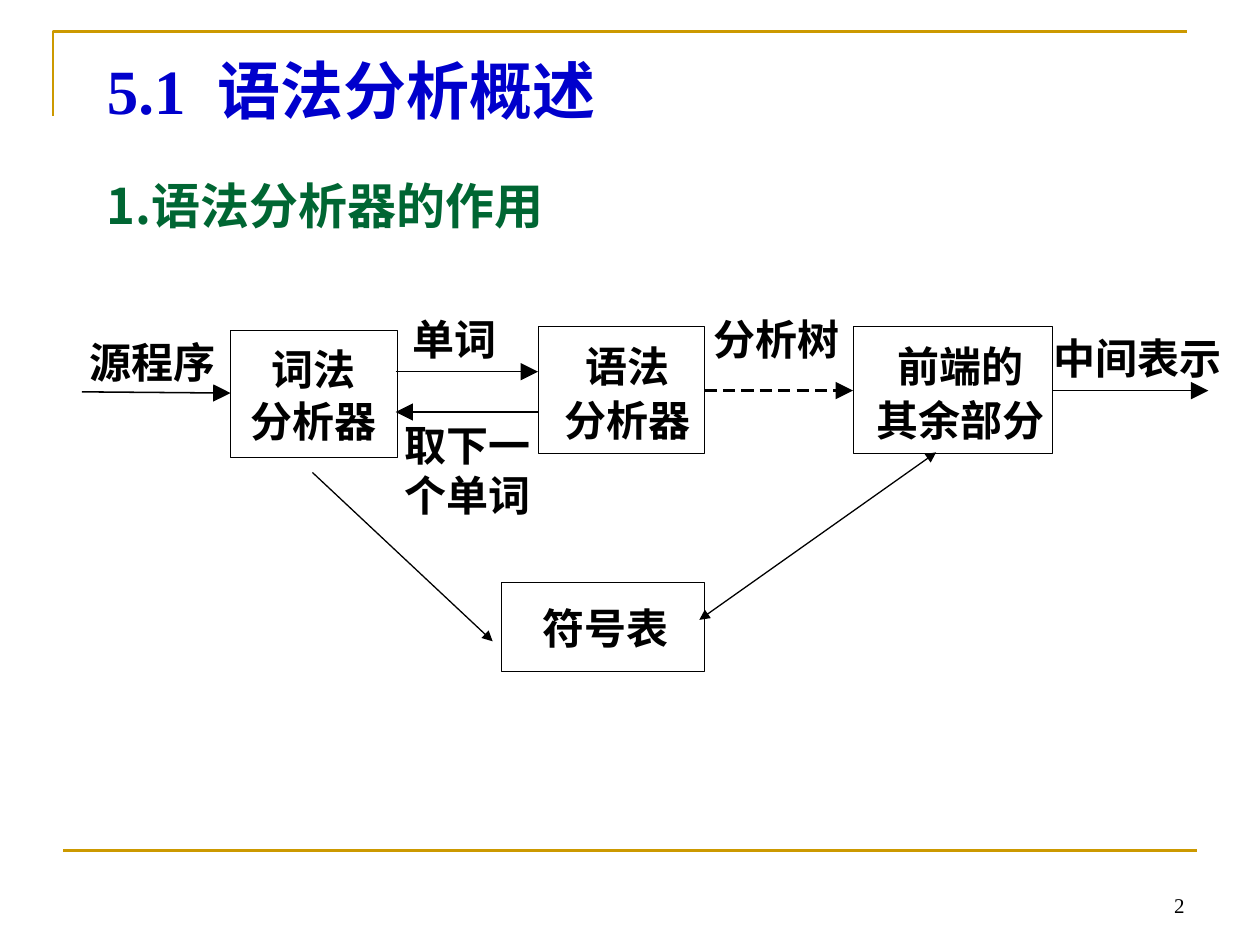
from lxml import etree
from pptx import Presentation
from pptx.dml.color import RGBColor
from pptx.enum.shapes import MSO_CONNECTOR, MSO_SHAPE
from pptx.enum.text import MSO_ANCHOR, PP_ALIGN
from pptx.oxml.ns import qn
from pptx.util import Inches, Pt

STRAIGHT = MSO_CONNECTOR.STRAIGHT
RECTANGLE = MSO_SHAPE.RECTANGLE
TOP, BOTTOM = MSO_ANCHOR.TOP, MSO_ANCHOR.BOTTOM
LEFT, CENTER, RIGHT = PP_ALIGN.LEFT, PP_ALIGN.CENTER, PP_ALIGN.RIGHT

HAN, SERIF = "Noto Sans CJK SC", "Times New Roman"
BLACK, GOLD, BLUE, GREEN = "000000", "CC9900", "0000CC", "006633"


def color(hex_code):
    return RGBColor.from_string(hex_code)


def write(frame, lines, size=24, hex_code=BLACK, latin=HAN, bold=True,
          align=LEFT, anchor=TOP, insets=(0, 0, 0, 0), gap=0):
    """Fill a text frame with one paragraph per line."""
    frame.vertical_anchor = anchor
    (frame.margin_left, frame.margin_top,
     frame.margin_right, frame.margin_bottom) = map(Inches, insets)
    for index, line in enumerate(lines):
        para = frame.add_paragraph() if index else frame.paragraphs[0]
        para.alignment = align
        if index:
            para.space_before = Pt(gap)
        span = para.add_run()
        span.text = line
        span.font.size, span.font.bold = Pt(size), bold
        span.font.name = latin
        span.font.color.rgb = color(hex_code)
        east_asian = etree.SubElement(span.font._element, qn("a:ea"))
        east_asian.set("typeface", HAN)


def add_text(page, box, lines, wrap=True, **style):
    frame = page.shapes.add_textbox(*map(Inches, box)).text_frame
    frame.word_wrap = wrap
    write(frame, lines, **style)


def add_node(page, box, lines, insets, gap=0):
    """A thin outlined box with its centred name."""
    node = page.shapes.add_shape(RECTANGLE, *map(Inches, box))
    node.shadow.inherit = False
    node.fill.background()
    node.line.color.rgb = color(BLACK)
    node.line.width = Pt(0.25)
    node.text_frame.word_wrap = False
    write(node.text_frame, lines, align=CENTER, insets=insets, gap=gap)


def add_line(page, start, end, hex_code=BLACK, width=0.88, ends=(),
             head_size="lg", dashed=False):
    """A straight line; ends names its arrowheads, in schema order."""
    line = page.shapes.add_connector(STRAIGHT, *map(Inches, start + end))
    line.line.color.rgb = color(hex_code)
    line.line.width = Pt(width)
    outline = line.line._get_or_add_ln()
    if dashed:
        dash = etree.SubElement(outline, qn("a:custDash"))
        etree.SubElement(dash, qn("a:ds"), d="400000", sp="200000")
    for end_name in ends:
        etree.SubElement(outline, qn("a:" + end_name), type="triangle",
                         w=head_size, len=head_size)
    etree.SubElement(line._element.spPr, qn("a:effectLst"))


def add_frame(page, left, top, width, height):
    """Gold corner above, gold rule below, and the page number."""
    builder = page.shapes.build_freeform(Inches(left), Inches(top + 0.67))
    builder.add_line_segments(
        [(Inches(left), Inches(top)), (Inches(left + width), Inches(top))],
        close=False)
    corner = builder.convert_to_shape()
    corner.shadow.inherit = False
    corner.fill.background()
    corner.line.color.rgb = color(GOLD)
    corner.line.width = Pt(1.5)
    bottom, indent = top + height, left + 0.08
    add_line(page, (indent, bottom), (indent + width, bottom), GOLD, 1.5)
    add_text(page, (7.17, bottom + 0.08, 2.33, 0.5), ["2"], size=12,
             latin=SERIF, bold=False, align=RIGHT, anchor=BOTTOM,
             insets=(0.1, 0.05, 0.1, 0.05))


def add_headings(page, left, top):
    insets = (0.1, 0.05, 0.1, 0.05)
    add_text(page, (left, top, 8.35, 0.71), ["5.1  语法分析概述"], size=36,
             hex_code=BLUE, latin=SERIF, insets=insets)
    add_text(page, (left, top + 0.98, 9.45, 0.57), ["1.语法分析器的作用"],
             size=28, hex_code=GREEN, insets=insets)


def add_diagram(page):
    # Stages and the symbol table
    add_node(page, (1.83, 2.62, 1.32, 1.01), ["词法", "分析器"],
             (0, 0.11, 0, 0), 0.7)
    add_node(page, (4.27, 2.59, 1.32, 1.01), ["语法", "分析器"],
             (0.1, 0.11, 0, 0), 2)
    add_node(page, (6.77, 2.59, 1.58, 1.01), ["前端的", "其余部分"],
             (0.13, 0.11, 0, 0), 2)
    add_node(page, (3.98, 4.62, 1.61, 0.71), ["符号表"], (0.04, 0.16, 0, 0))

    # Flow between the stages
    for start, end, dashed in (
            ((0.65, 3.11), (1.83, 3.12), False),
            ((3.14, 2.95), (4.27, 2.95), False),
            ((4.27, 3.27), (3.14, 3.27), False),
            ((5.59, 3.1), (6.77, 3.1), True),
            ((8.35, 3.1), (9.59, 3.1), False)):
        add_line(page, start, end, width=1.75 if dashed else 0.88,
                 ends=("tailEnd",), dashed=dashed)

    # Links to the symbol table
    add_line(page, (2.48, 3.75), (3.91, 5.09), width=0.75,
             ends=("tailEnd",), head_size="med")
    add_line(page, (7.43, 3.59), (5.55, 4.92), width=0.75,
             ends=("headEnd", "tailEnd"), head_size="med")

    # Names of what flows
    for box, lines in (
            ((0.71, 2.67, 1.01, 0.4), ["源程序"]),
            ((3.27, 2.49, 0.95, 0.4), ["单词"]),
            ((3.21, 3.33, 1.02, 0.81), ["取下一", "个单词"]),
            ((5.66, 2.49, 1.01, 0.4), ["分析树"]),
            ((8.36, 2.64, 1.35, 0.4), ["中间表示"])):
        add_text(page, box, lines, wrap=False)


def main():
    deck = Presentation()
    deck.slide_width, deck.slide_height = Inches(10), Inches(7.5)
    page = deck.slides.add_slide(deck.slide_layouts[6])
    add_frame(page, 0.42, 0.25, 9, 6.5)
    add_headings(page, 0.75, 0.36)
    add_diagram(page)
    deck.save("out.pptx")


if __name__ == "__main__":
    main()
